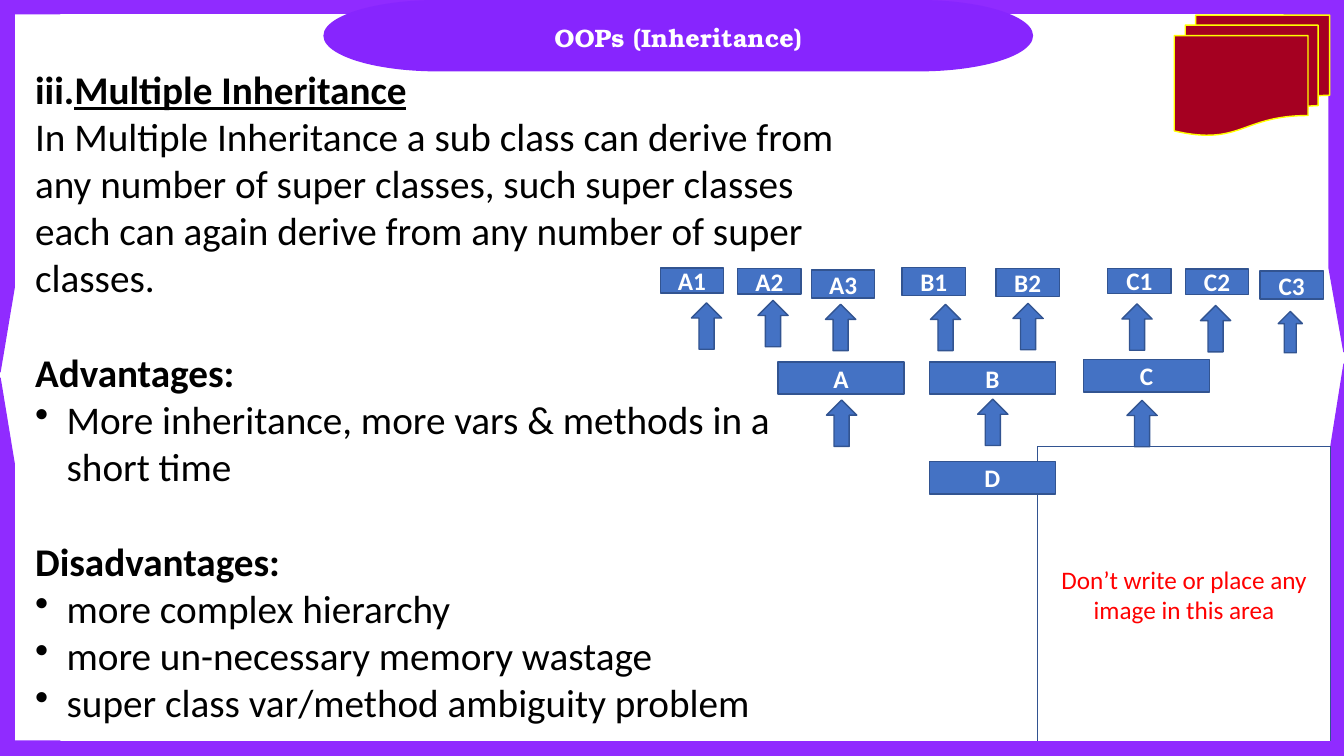
from dataclasses import dataclass

from pptx import Presentation
from pptx.dml.color import RGBColor as RGB
from pptx.enum.shapes import MSO_SHAPE as Kind
from pptx.enum.text import MSO_ANCHOR as Anchor, MSO_AUTO_SIZE as Auto, PP_ALIGN as Align
from pptx.oxml.xmlchemy import OxmlElement as Node
from pptx.util import Pt


@dataclass(frozen=True)
class Theme:
    frame: str = "902BFF"
    banner: str = "8725FE"
    stack: str = "A50021"
    gold: str = "FFFF00"
    blue: str = "4472C4"
    edge: str = "325491"
    white: str = "FFFFFF"
    black: str = "000000"
    red: str = "FF0000"
    serif: str = "TeX Gyre Bonum"
    sans: str = "Calibri"
    small: int = 18
    large: int = 28


class Deck:
    def __init__(self, theme, wide, high):
        self.theme = theme
        self.show = Presentation()
        self.show.slide_width, self.show.slide_height = Pt(wide), Pt(high)
        self.slide = self.show.slides.add_slide(self.show.slide_layouts[5])

    def font(self, para, color, size, bold=False, face=None):
        font = para.font
        font.name, font.size, font.bold = face or self.theme.sans, Pt(size), bold
        font.color.rgb = RGB.from_string(color)

    def shape(self, kind, spot, fill, line=None, adjust=(), flip=False, turn=0):
        item = self.slide.shapes.add_shape(kind, *map(Pt, spot))
        item.shadow.inherit = False
        item.fill.solid()
        item.fill.fore_color.rgb = RGB.from_string(fill)
        if line:
            item.line.color.rgb = RGB.from_string(line)
            item.line.width = Pt(1)
        else:
            item.line.fill.background()
        for place, value in enumerate(adjust):
            item.adjustments[place] = value
        item.rotation = turn
        if flip:
            item._element.spPr.xfrm.set("flipH", "1")
        return item

    def label(self, item, text, color, bold=False, pad=0):
        frame = item.text_frame
        frame.word_wrap = True
        frame.vertical_anchor = Anchor.MIDDLE
        frame.margin_left = frame.margin_right = Pt(pad)
        frame.margin_top = frame.margin_bottom = 0
        para = frame.paragraphs[0]
        para.text, para.alignment = text, Align.CENTER
        self.font(para, color, self.theme.small, bold)

    def title(self, text, spot):
        item = self.slide.shapes.title
        item.left, item.top, item.width, item.height = map(Pt, spot)
        frame = item.text_frame
        frame.auto_size, frame.word_wrap = Auto.NONE, True
        frame.vertical_anchor = Anchor.MIDDLE
        para = frame.paragraphs[0]
        para.text, para.alignment = text, Align.CENTER
        self.font(para, self.theme.white, self.theme.small, True, self.theme.serif)
        self.slide.shapes._spTree.append(item._element)

    def node(self, name, left, top, wide, high):
        item = self.shape(Kind.RECTANGLE, (left, top, wide, high), self.theme.blue, self.theme.edge)
        self.label(item, name, self.theme.white, True)

    def arrow(self, left, top, wide=21.6, high=33.1):
        self.shape(Kind.UP_ARROW, (left, top, wide, high), self.theme.blue, self.theme.edge)

    def mark(self, para, tag, **pairs):
        props = para._p.get_or_add_pPr()
        props.set("marL", str(Pt(22.5)))
        props.set("indent", str(Pt(-22.5)))
        mark = Node(tag)
        for key, value in pairs.items():
            mark.set(key, value)
        props.append(mark)

    def body(self, lines, spot):
        frame = self.slide.shapes.add_textbox(*map(Pt, spot)).text_frame
        frame.word_wrap = True
        for place, (style, text) in enumerate(lines):
            para = frame.add_paragraph() if place else frame.paragraphs[0]
            para.text = text
            if style == "number":
                self.mark(para, "a:buAutoNum", type="romanLcPeriod", startAt="3")
            elif style == "bullet":
                self.mark(para, "a:buChar", char="•")
            elif style == "head":
                para.space_before = Pt(34)
            self.font(para, self.theme.black, self.theme.large, style in ("number", "head"))
            if style == "number":
                para.font.underline = True


LINES = [
    ("number", "Multiple Inheritance"),
    ("plain", "In Multiple Inheritance a sub class can derive from any number of super classes, "
              "such super classes each can again derive from any number of super classes."),
    ("head", "Advantages:"),
    ("bullet", "More inheritance, more vars & methods in a short time"),
    ("head", "Disadvantages:"),
    ("bullet", "more complex hierarchy"),
    ("bullet", "more un-necessary memory wastage"),
    ("bullet", "super class var/method ambiguity problem"),
]
ROOTS = [
    ("A1", 471.6, 191.3, 18), ("A2", 527, 192, 18), ("A3", 579.6, 193, 20),
    ("B1", 644.4, 191.3, 20), ("B2", 711.4, 192, 20),
    ("C1", 791.3, 191.6, 18), ("C2", 846.7, 192.2, 18), ("C3", 900, 193.7, 20),
]
HEIRS = [("D", 663.8, 329.8), ("A", 555.8, 258.5), ("B", 663.8, 258.5), ("C", 774, 257)]
ARROWS = [
    (493.9, 216.4), (541.4, 214.6), (589.7, 217.4), (664.6, 217.4),
    (723.6, 216.7), (801.4, 217.1), (857.5, 218.2), (913, 222.5, 17.3, 29.5),
    (590.4, 285.8), (698.4, 285.1), (805, 286),
]
CORNERS = [
    ((0, 0, 44.6, 265.7), (0.218, 0.228), False, 0),
    ((915.4, 0, 44.6, 251.3), (0.228, 0.239), True, 0),
    ((0, 270, 44.6, 270), (0.239, 0.228), True, 180),
    ((915.4, 260, 44.6, 280), (0.228, 0.239), False, 180),
]


def main():
    theme = Theme()
    deck = Deck(theme, 960, 540)
    for spot, adjust, flip, turn in CORNERS:
        deck.shape(Kind.HALF_FRAME, spot, theme.frame, theme.frame, adjust, flip, turn)
    deck.shape(Kind.RECTANGLE, (0, -0.5, 960, 10), theme.frame, theme.frame)
    deck.shape(Kind.FLOWCHART_TERMINATOR, (231, 0, 507, 51), theme.banner)
    deck.title("OOPs (Inheritance)", (239, 12.5, 491, 29))
    deck.shape(Kind.FLOWCHART_MULTIDOCUMENT, (838.8, 10.8, 111, 86), theme.stack, theme.gold)
    note = deck.shape(Kind.RECTANGLE, (741.3, 319, 209, 211), theme.white, theme.edge)
    deck.label(note, "Don’t write or place any image in this area", theme.red, pad=7.2)
    deck.shape(Kind.RECTANGLE, (0, 530, 960, 10), theme.frame, theme.frame)
    deck.body(LINES, (18, 43.2, 599, 482))
    for name, left, top in HEIRS:
        deck.node(name, left, top, 90, 23)
    for name, left, top, high in ROOTS:
        deck.node(name, left, top, 45.2, high)
    for spot in ARROWS:
        deck.arrow(*spot)
    deck.show.save("out.pptx")


if __name__ == "__main__":
    main()
